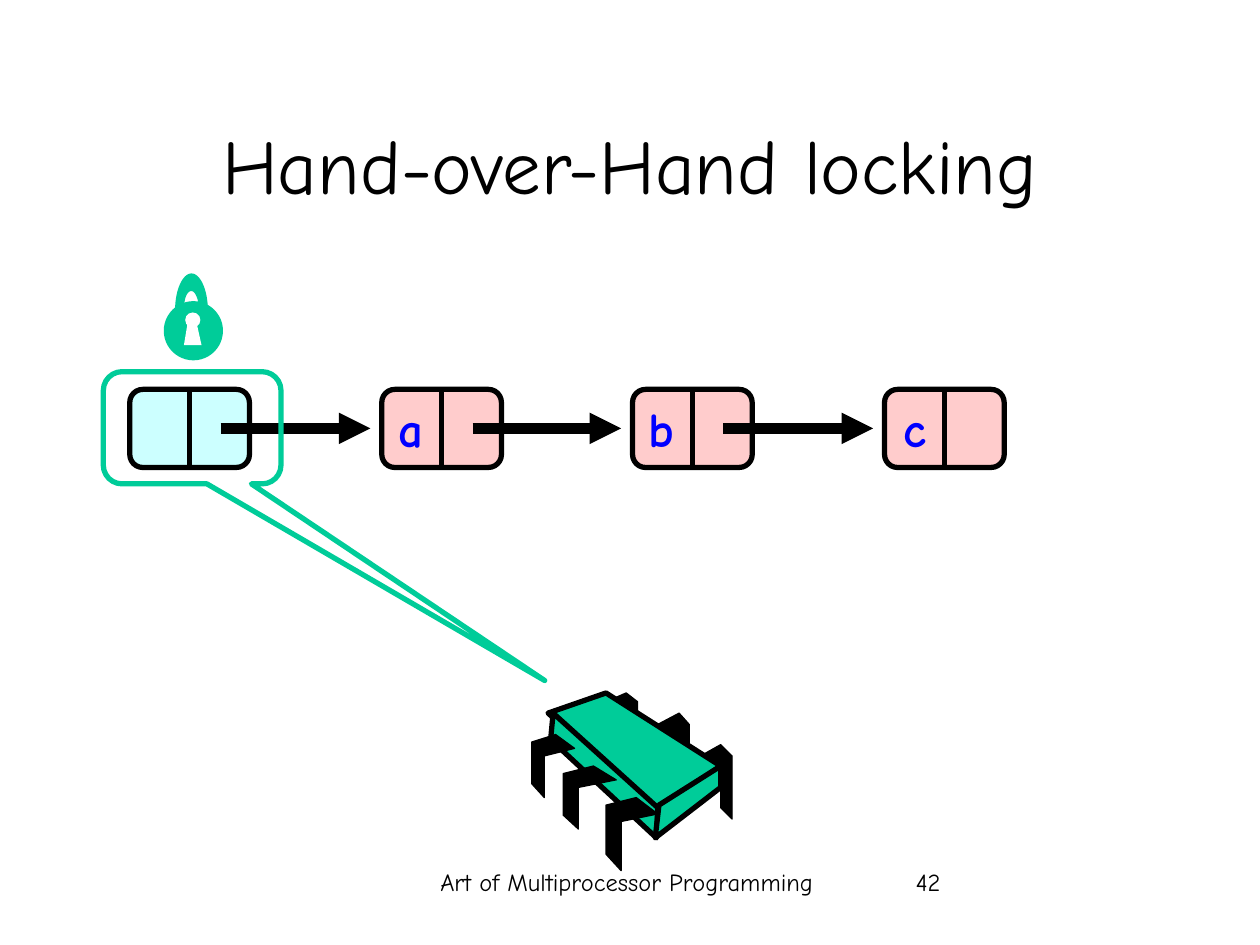
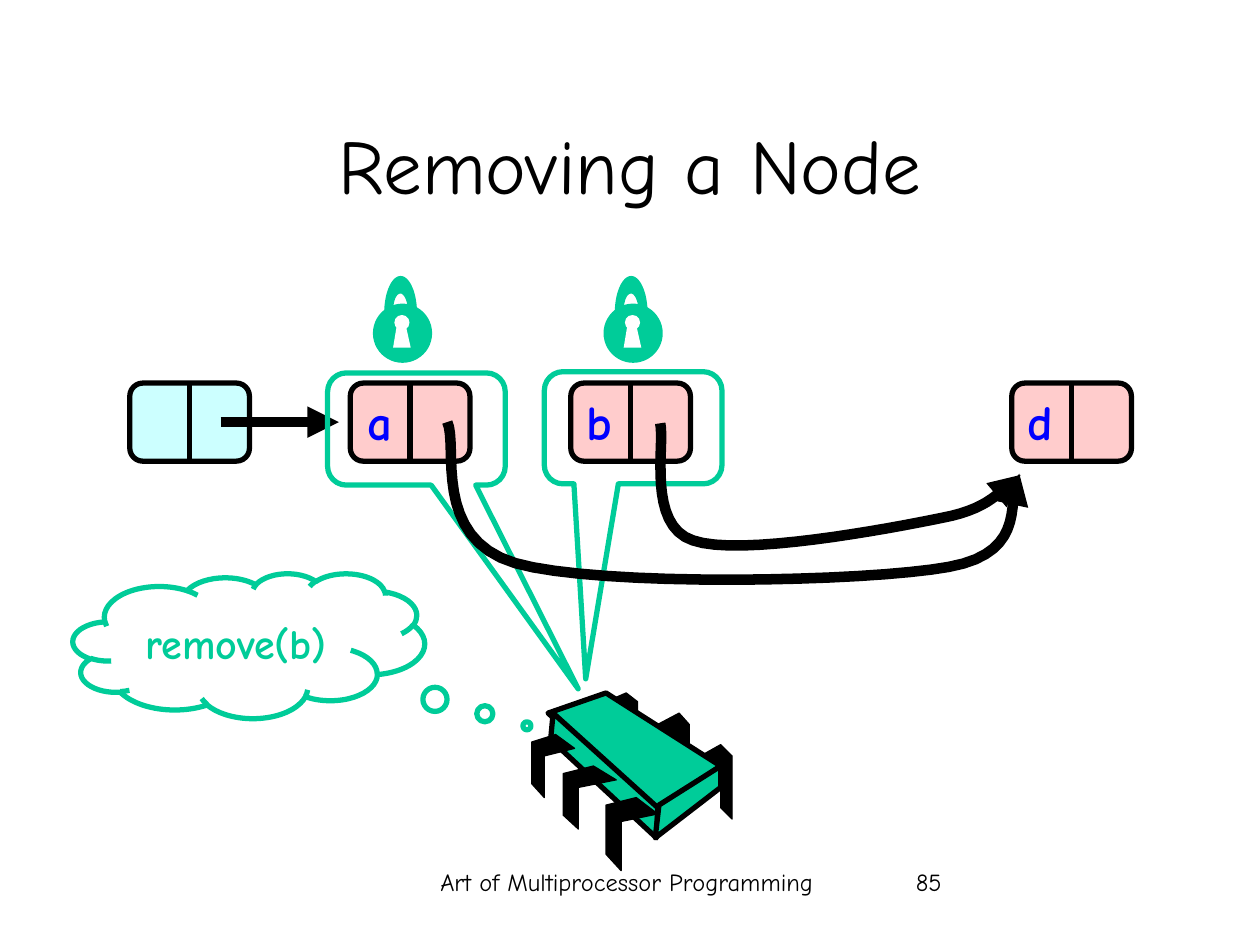
from dataclasses import dataclass

from lxml.etree import SubElement
from pptx import Presentation
from pptx.dml.color import RGBColor
from pptx.enum.shapes import MSO_CONNECTOR, MSO_SHAPE
from pptx.enum.text import MSO_ANCHOR, MSO_AUTO_SIZE, PP_ALIGN
from pptx.oxml.ns import qn
from pptx.util import Emu, Pt


@dataclass(frozen=True)
class Theme:
    font: str = "Comic Neue"
    ink: str = "000000"
    paper: str = "FFFFFF"
    green: str = "00CC99"
    blue: str = "0000FF"
    head: str = "CCFFFF"
    pink: str = "FFCCCC"
    title: int = 44
    key: int = 28
    thought: int = 24
    foot: int = 14
    thin: float = 0.75
    edge: int = 3
    bold: int = 6


THEME = Theme()
SCALE = 9144
BOX_W, BOX_H = 95, 62
PAGE_W, PAGE_H = 1000, 750

CHIP_BACK = [
    [(556, 600), (572, 591), (581, 600), (581, 650), (572, 641), (572, 608), (556, 616)],
    [(522, 575), (539, 566), (547, 575), (547, 625), (539, 616), (539, 583), (522, 591)],
    [(481, 557), (497, 550), (506, 557), (506, 600), (497, 593), (497, 564), (481, 571)],
]
CHIP_BODY = [
    [(481, 550), (572, 608), (521, 643), (435, 566)],
    [(439, 566), (522, 641), (521, 665), (437, 587)],
    [(572, 608), (572, 625), (520, 665), (523, 639)],
]
CHIP_FRONT = [
    [(505, 633), (522, 646), (493, 652), (493, 691), (481, 678), (481, 639)],
    [(471, 608), (489, 619), (459, 625), (459, 658), (447, 647), (447, 614)],
    [(441, 583), (456, 594), (432, 600), (432, 633), (422, 622), (422, 589)],
]
KEY_SLOT = [(16, 35), (19, 17), (26, 17), (30, 35)]
LOCK_IN = [(16, 7), (16, -1), (18, -8), (22, -8), (25, -8), (28, -1), (28, 7)]
LOCK_OUT = [(35, 7), (35, -9), (29, -22), (22, -22), (15, -22), (9, -9), (9, 7)]
B_TO_D = [(524, 336), (528, 352), (513, 417), (550, 429), (587, 442),
          (704, 420), (748, 411), (791, 403), (797, 384), (810, 377)]
A_TO_D = [(355, 335), (364, 353), (342, 427), (409, 447), (475, 466),
          (687, 462), (753, 450), (820, 438), (797, 391), (809, 376)]


def px(*nums):
    return [Emu(round(n * SCALE)) for n in nums]


def rgb(tone):
    return RGBColor.from_string(tone)


def put(thing, vals):
    for name, val in vals.items():
        setattr(thing, name, val)


def paint(shape, fill=None, line=None, width=THEME.edge):
    shape.shadow.inherit = False
    for part, tone in ((shape.fill, fill), (shape.line.fill, line)):
        if tone:
            part.solid()
            part.fore_color.rgb = rgb(tone)
        else:
            part.background()
    if line:
        shape.line.width = Pt(width)
    return shape


def tip(shape):
    line = shape._element.spPr.find(qn("a:ln"))
    SubElement(line, qn("a:tailEnd"), type="triangle")


def write(shape, words, size, tone=THEME.ink, align=PP_ALIGN.CENTER, bold=False, **frame):
    put(shape.text_frame, {"word_wrap": True, **frame})
    para = shape.text_frame.paragraphs[0]
    para.alignment = align
    run = para.add_run()
    run.text = words
    put(run.font, {"name": THEME.font, "size": Pt(size), "bold": bold})
    run.font.color.rgb = rgb(tone)


def label(pane, spot, words, size, **look):
    write(pane.add_textbox(*px(*spot)), words, size, **look)


def form(pane, kind, spot, bends=(), **look):
    shape = pane.add_shape(kind, *px(*spot))
    for i, bend in enumerate(bends):
        shape.adjustments[i] = bend
    return paint(shape, **look)


def trace(pane, dots, close=True, **look):
    dots = [px(*dot) for dot in dots]
    pen = pane.build_freeform(*dots[0])
    pen.add_line_segments(dots[1:], close=close)
    return paint(pen.convert_to_shape(), **look)


def curve(knots, steps=16):
    dots = [knots[0]]
    for k in range(0, len(knots) - 1, 3):
        for t in (i / steps for i in range(1, steps + 1)):
            mix = ((1 - t) ** 3, 3 * t * (1 - t) ** 2, 3 * t * t * (1 - t), t ** 3)
            dots.append(tuple(sum(m * knot[axis] for m, knot in zip(mix, knots[k:k + 4]))
                              for axis in (0, 1)))
    return dots


def link(pane, ends, width):
    line = pane.add_connector(MSO_CONNECTOR.STRAIGHT, *px(*ends))
    line.line.color.rgb = rgb(THEME.ink)
    line.line.width = Pt(width)
    SubElement(line._element.spPr, qn("a:effectLst"))
    return line


def node(slide, x, y, key):
    pane = slide.shapes.add_group_shape().shapes
    box = form(pane, MSO_SHAPE.ROUNDED_RECTANGLE, (x, y, BOX_W, BOX_H), [0.167],
               fill=THEME.pink if key else THEME.head, line=THEME.ink)
    mid = x + BOX_W / 2
    wall = link(pane, (mid, y, mid, y + BOX_H), THEME.edge)
    wall.begin_connect(box, 0)
    wall.end_connect(box, 2)
    if key:
        label(pane, (x, y + 2, 43, 57), key, THEME.key, tone=THEME.blue, bold=True,
              align=PP_ALIGN.RIGHT, word_wrap=False,
              auto_size=MSO_AUTO_SIZE.SHAPE_TO_FIT_TEXT)


def arrow(slide, x, goal, y):
    mid = y + BOX_H / 2
    tip(link(slide.shapes, (x + 72, mid, goal - 9, mid), THEME.bold))


def swoop(slide, knots):
    tip(trace(slide.shapes, curve(knots), close=False, line=THEME.ink, width=THEME.bold))


def chip(slide):
    pane = slide.shapes.add_group_shape().shapes
    leg = {"fill": THEME.ink, "line": THEME.ink, "width": THEME.thin}
    face = {"fill": THEME.green, "line": THEME.ink}
    for parts, look in ((CHIP_BACK, leg), (CHIP_BODY, face), (CHIP_FRONT, leg)):
        for dots in parts:
            trace(pane, dots, **look)


def lock(slide, x, y):
    pane = slide.shapes.add_group_shape().shapes

    def shift(dots):
        return [(x + a, y + b) for a, b in dots]

    form(pane, MSO_SHAPE.OVAL, (x, y, 47, 47), fill=THEME.green)
    form(pane, MSO_SHAPE.OVAL, (x + 17, y + 9, 12, 12), fill=THEME.paper)
    trace(pane, shift(KEY_SLOT), fill=THEME.paper)
    trace(pane, shift(curve(LOCK_IN) + curve(LOCK_OUT)), fill=THEME.green)


def claim(slide, x, y, bends):
    form(slide.shapes, MSO_SHAPE.ROUNDED_RECTANGULAR_CALLOUT, (x, y, 141, 89),
         [*bends, 0.167], line=THEME.green)


def think(slide, words):
    cloud = form(slide.shapes, MSO_SHAPE.CLOUD_CALLOUT, (58, 455, 279, 115),
                 [0.791, 0.553], line=THEME.green)
    write(cloud, words, THEME.thought, tone=THEME.green, bold=True,
          vertical_anchor=MSO_ANCHOR.MIDDLE)


def page(deck, title, num):
    slide = deck.slides.add_slide(deck.slide_layouts[6])
    pane = slide.shapes
    label(pane, (310, 683, 375, 50), "Art of Multiprocessor Programming", THEME.foot)
    label(pane, (717, 683, 208, 50), str(num), THEME.foot, align=PP_ALIGN.LEFT)
    label(pane, (75, 67, 850, 125), title, THEME.title, vertical_anchor=MSO_ANCHOR.MIDDLE)
    return slide


def chain(slide, y, nodes, links):
    for x, key in nodes:
        node(slide, x, y, key)
    for (x, _), (goal, _) in list(zip(nodes, nodes[1:]))[:links]:
        arrow(slide, x, goal, y)
    chip(slide)


def hand(deck):
    slide = page(deck, "Hand-over-Hand locking", 42)
    chain(slide, 309, [(103, ""), (303, "a"), (502, "b"), (702, "c")], 3)
    claim(slide, 82, 295, (1.985, 2.254))
    lock(slide, 130, 239)


def remove(deck):
    slide = page(deck, "Removing a Node", 85)
    chain(slide, 304, [(103, ""), (278, "a"), (453, "b"), (803, "d")], 1)
    claim(slide, 260, 296, (0.911, 2.317))
    think(slide, "remove(b)")
    lock(slide, 296, 241)
    claim(slide, 432, 295, (-0.267, 2.239))
    lock(slide, 479, 241)
    swoop(slide, B_TO_D)
    swoop(slide, A_TO_D)


def main():
    deck = Presentation()
    wide, high = px(PAGE_W, PAGE_H)
    put(deck, {"slide_width": wide, "slide_height": high})
    hand(deck)
    remove(deck)
    deck.save("out.pptx")


if __name__ == "__main__":
    main()
